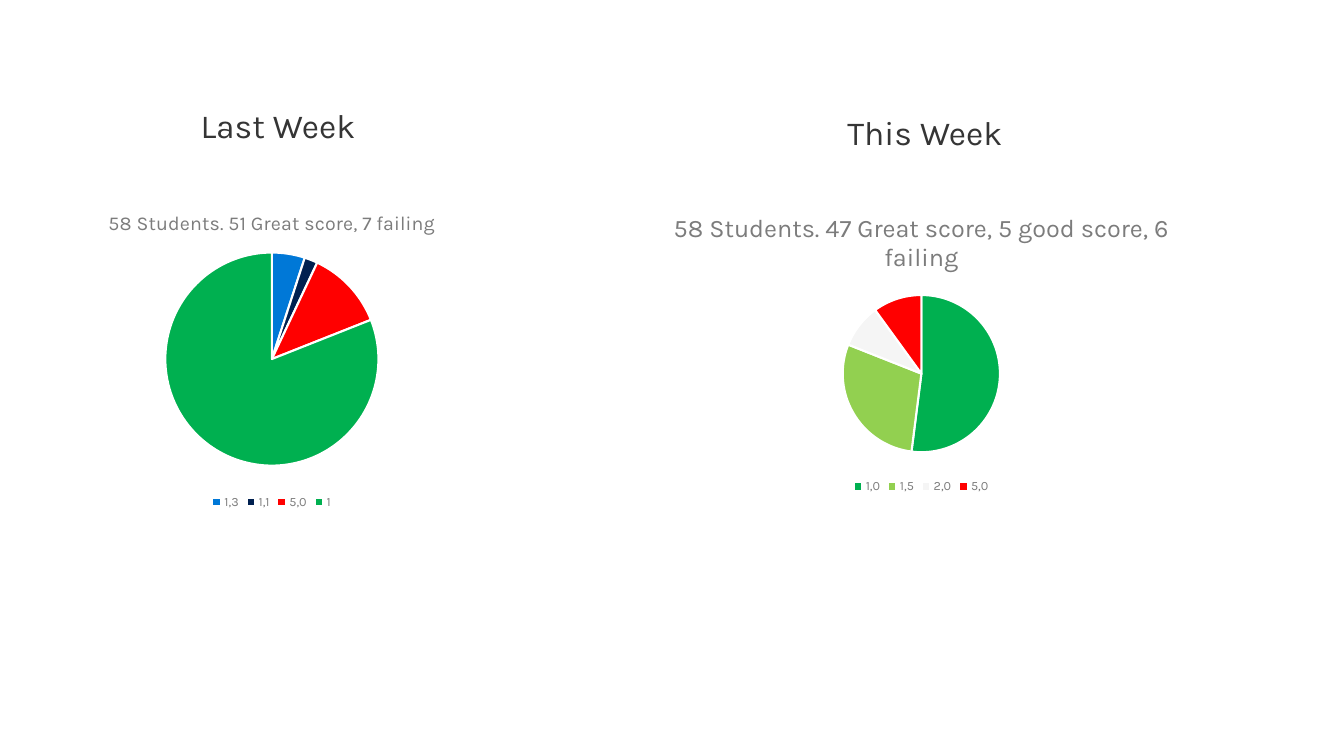
from dataclasses import dataclass

from lxml import etree
from pptx import Presentation
from pptx.chart.data import CategoryChartData
from pptx.dml.color import RGBColor
from pptx.enum.chart import XL_CHART_TYPE, XL_LEGEND_POSITION
from pptx.oxml.ns import qn
from pptx.util import Emu, Pt

EMU_PER_PX = 9525
FONT = "Karla"
DARK, GREY, WHITE = "353535", "7C7C7C", "FFFFFF"
BLUE, NAVY, RED = "0078D7", "002050", "FF0000"
GREEN, LIME, PALE = "00B050", "92D050", "F5F5F5"


@dataclass
class Box:
    left: int
    top: int
    width: int
    height: int

    def emu(self) -> list[Emu]:
        return [px(n) for n in (self.left, self.top, self.width, self.height)]


@dataclass
class Slice:
    grade: str
    share: int
    color: str


@dataclass
class Week:
    heading: str
    heading_box: Box
    summary: str
    summary_size: int
    chart_box: Box
    pie_area: dict[str, float]  # fractions of the chart box
    slices: list[Slice]


WEEKS = [
    Week("Last Week", Box(172, 89, 236, 66),
         "58 Students. 51 Great score, 7 failing", 14, Box(35, 186, 448, 303),
         {"x": 0.27, "y": 0.18, "w": 0.46, "h": 0.67},
         [Slice("1,3", 5, BLUE), Slice("1,1", 2, NAVY),
          Slice("5,0", 12, RED), Slice("1", 81, GREEN)]),
    Week("This Week", Box(788, 96, 236, 66),
         "58 Students. 47 Great score, 5 good score, 6 failing", 18,
         Box(549, 186, 657, 288),
         {"x": 0.38, "y": 0.33, "w": 0.24, "h": 0.52},
         [Slice("1,0", 52, GREEN), Slice("1,5", 29, LIME),
          Slice("2,0", 9, PALE), Slice("5,0", 10, RED)]),
]


def px(length: int) -> Emu:
    return Emu(length * EMU_PER_PX)


def rgb(color: str) -> RGBColor:
    return RGBColor.from_string(color)


def style(font, size: int, color: str) -> None:
    font.name, font.size, font.bold = FONT, Pt(size), False
    font.color.rgb = rgb(color)


def place_pie(chart, area: dict[str, float]) -> None:
    plot_area = chart._chartSpace.chart.plotArea
    for old in plot_area.findall(qn("c:layout")):
        plot_area.remove(old)
    layout = etree.Element(qn("c:layout"))
    manual = etree.SubElement(layout, qn("c:manualLayout"))
    settings = {"layoutTarget": "inner", "xMode": "edge", "yMode": "edge", **area}
    for tag, value in settings.items():
        etree.SubElement(manual, qn(f"c:{tag}")).set("val", str(value))
    plot_area.insert(0, layout)


def add_heading(slide, week: Week) -> None:
    frame = slide.shapes.add_textbox(*week.heading_box.emu()).text_frame
    frame.word_wrap = True
    frame.margin_left = frame.margin_right = px(19)
    frame.margin_top = frame.margin_bottom = px(15)
    frame.text = week.heading
    paragraph = frame.paragraphs[0]
    paragraph.line_spacing, paragraph.space_after = 0.9, Pt(6)
    style(paragraph.runs[0].font, 24, DARK)


def add_pie(slide, week: Week) -> None:
    data = CategoryChartData()
    data.categories = [s.grade for s in week.slices]
    data.add_series("Series 1", [s.share for s in week.slices])
    chart = slide.shapes.add_chart(
        XL_CHART_TYPE.PIE, *week.chart_box.emu(), data).chart
    style(chart.font, 10, DARK)

    # Summary above the pie
    chart.has_title = True
    summary = chart.chart_title.text_frame
    summary.text = week.summary
    style(summary.paragraphs[0].runs[0].font, week.summary_size, GREY)
    chart.chart_title.include_in_layout = False

    # Grades below the pie
    chart.has_legend = True
    chart.legend.position = XL_LEGEND_POSITION.BOTTOM
    chart.legend.include_in_layout = False
    style(chart.legend.font, 9, GREY)

    # Slices with white gaps
    plot = chart.plots[0]
    plot.vary_by_categories = True
    for index, piece in enumerate(week.slices):
        look = plot.series[0].points[index].format
        look.fill.solid()
        look.fill.fore_color.rgb = rgb(piece.color)
        look.line.color.rgb = rgb(WHITE)
        look.line.width = Pt(1.5)
    place_pie(chart, week.pie_area)


def main() -> None:
    deck = Presentation()
    deck.slide_width, deck.slide_height = px(1280), px(720)
    slide = deck.slides.add_slide(deck.slide_layouts[6])
    for week in WEEKS:
        add_pie(slide, week)
    for week in WEEKS:
        add_heading(slide, week)
    deck.save("out.pptx")


if __name__ == "__main__":
    main()
